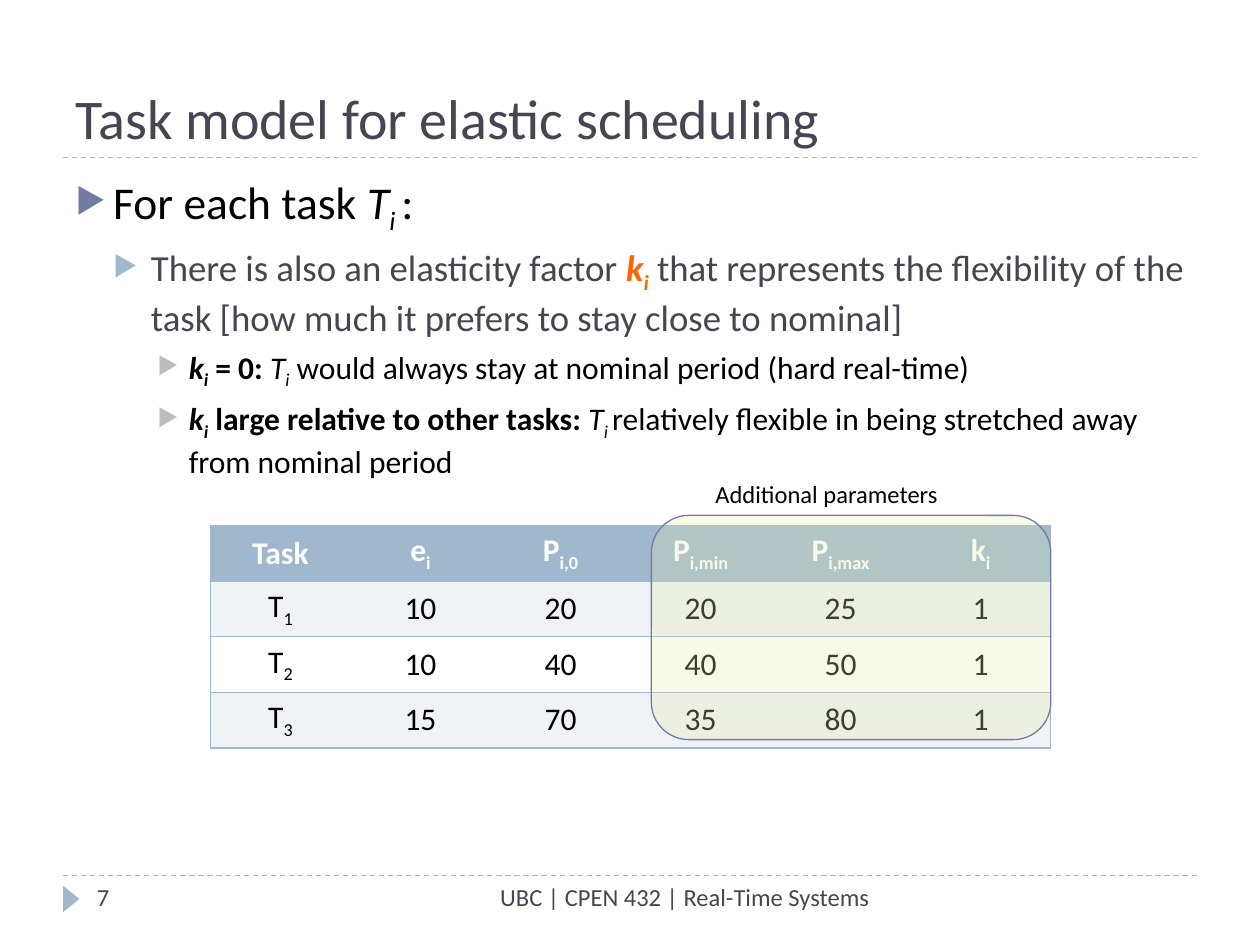
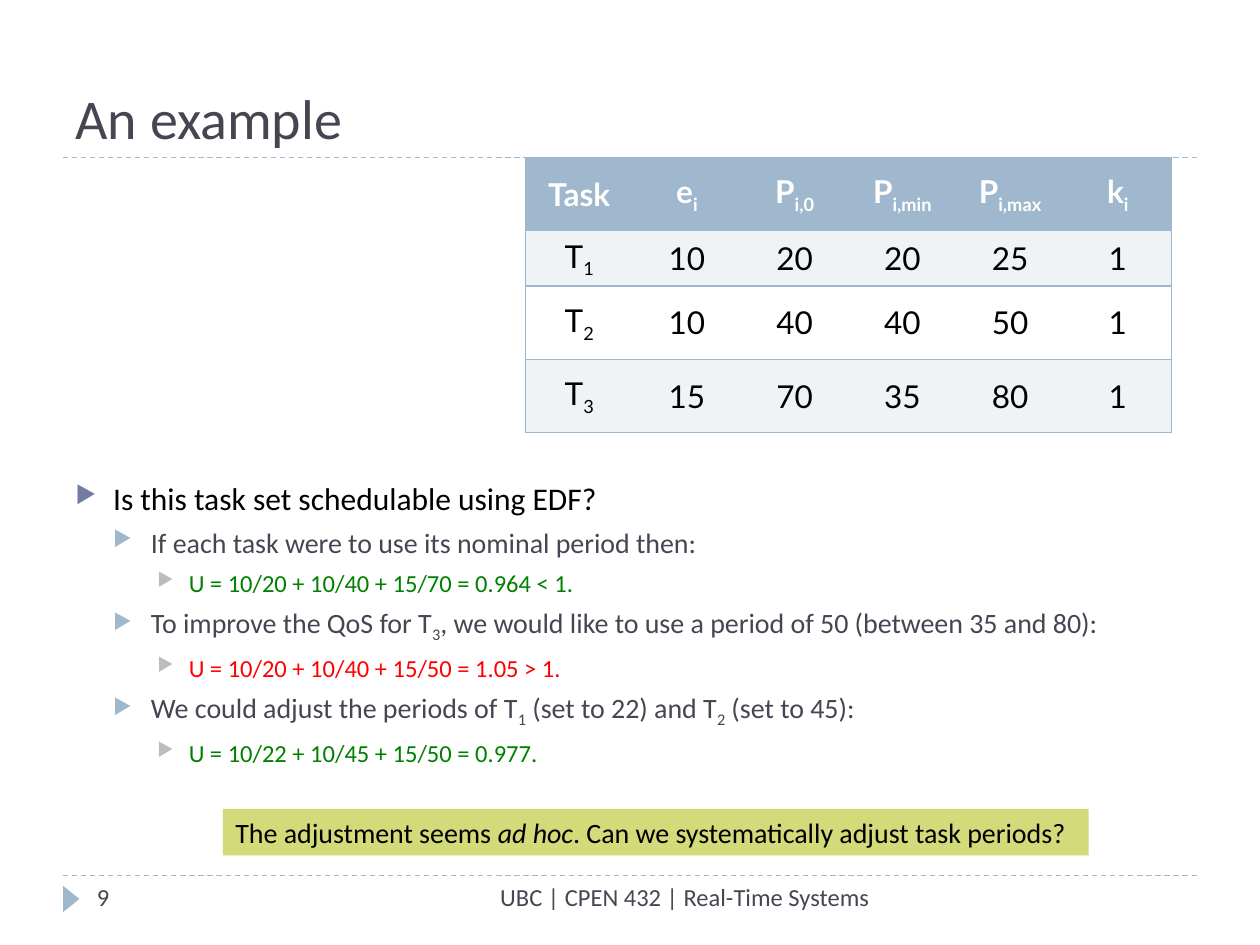
"""Build two slides on elastic scheduling of real-time tasks."""
from dataclasses import dataclass
from typing import NamedTuple

from lxml import etree
from pptx import Presentation
from pptx.dml.color import RGBColor
from pptx.enum.dml import MSO_LINE
from pptx.enum.shapes import MSO_CONNECTOR, MSO_SHAPE
from pptx.enum.text import MSO_ANCHOR, MSO_AUTO_SIZE, PP_ALIGN
from pptx.oxml.ns import qn
from pptx.util import Emu, Pt

SCALE = 9144
BLACK = RGBColor(0x00, 0x00, 0x00)
WHITE = RGBColor(0xFF, 0xFF, 0xFF)
SLATE = RGBColor(0x46, 0x46, 0x53)
INDIGO = RGBColor(0x72, 0x7C, 0xA3)
SKY = RGBColor(0x9F, 0xB8, 0xCD)
GRAY = RGBColor(0xBC, 0xBC, 0xBC)
MIST = RGBColor(0xF0, 0xF3, 0xF6)
LIME = RGBColor(0xD2, 0xDA, 0x7A)
CREAM = RGBColor(0xE4, 0xE9, 0xAF)
ORANGE = RGBColor(0xFF, 0x66, 0x00)
GREEN = RGBColor(0x00, 0x80, 0x00)
RED = RGBColor(0xFF, 0x00, 0x00)

DASH = MSO_LINE.DASH
STRAIGHT = MSO_CONNECTOR.STRAIGHT
RECT = MSO_SHAPE.RECTANGLE
ROUND = MSO_SHAPE.ROUNDED_RECTANGLE
WEDGE = MSO_SHAPE.ISOSCELES_TRIANGLE
BOTTOM = MSO_ANCHOR.BOTTOM
MIDDLE = MSO_ANCHOR.MIDDLE
NO_FIT = MSO_AUTO_SIZE.NONE
LEFT = PP_ALIGN.LEFT
CENTER = PP_ALIGN.CENTER
RIGHT = PP_ALIGN.RIGHT

FONT = "Calibri"
FOOTER = "UBC | CPEN 432 | Real-Time Systems"
TASKS = (
    ("Task", "e_i", "P_i,0", "P_i,min", "P_i,max", "k_i"),
    ("T_1", "10", "20", "20", "25", "1"),
    ("T_2", "10", "40", "40", "50", "1"),
    ("T_3", "15", "70", "35", "80", "1"),
)


class Box(NamedTuple):
    """Place and size in px."""
    left: int
    top: int
    wide: int
    high: int

    def emu(self) -> list[Emu]:
        """Return the four lengths in EMU."""
        return [px(side) for side in self]


class Run(NamedTuple):
    """Text with flags: b bold, i italic, s subscript."""
    text: str
    flags: str = ""
    color: RGBColor | None = None


class Level(NamedTuple):
    """Bullet look of one outline level."""
    margin: int
    hang: int
    space: int
    bullet: RGBColor
    color: RGBColor


@dataclass
class Item:
    """One outline line."""
    level: int
    size: int
    runs: list[Run]
    color: RGBColor | None = None


LEVELS = (
    Level(30, 30, 6, INDIGO, BLACK),
    Level(60, 30, 5, SKY, SLATE),
    Level(90, 25, 5, GRAY, BLACK),
)


def px(count: int) -> Emu:
    """Turn px into EMU."""
    return Emu(count * SCALE)


def term(text: str) -> list[Run]:
    """Split a symbol at its underscore into base and subscript."""
    base, _, sub = text.partition("_")
    return [Run(base)] + ([Run(sub, "s")] if sub else [])


def write(para, runs: list[Run], size: int, color: RGBColor, font: str = FONT, bold: bool = False) -> None:
    """Add styled runs to a paragraph."""
    for part in runs:
        run = para.add_run()
        run.text = part.text
        run.font.name = font
        run.font.size = Pt(size)
        run.font.bold = bold or "b" in part.flags
        run.font.italic = "i" in part.flags
        run.font.color.rgb = part.color or color
        if "s" in part.flags:
            run.font._element.set("baseline", "-25000")


def add_text(slide, box: Box, text: str, color: RGBColor, align=LEFT) -> None:
    """Add a small text box."""
    frame = slide.shapes.add_textbox(*box.emu()).text_frame
    frame.word_wrap = True
    frame.paragraphs[0].alignment = align
    write(frame.paragraphs[0], [Run(text)], 14, color)


def add_shape(slide, kind, box: Box, fill: RGBColor):
    """Add a flat filled shape without outline."""
    shape = slide.shapes.add_shape(kind, *box.emu())
    shape.shadow.inherit = False
    shape.fill.solid()
    shape.fill.fore_color.rgb = fill
    shape.line.fill.background()
    return shape


def add_rule(slide, top: int) -> None:
    """Add a dashed rule across the slide."""
    rule = slide.shapes.add_connector(STRAIGHT, px(50), px(top), px(950), px(top))
    rule.line.color.rgb = SKY
    rule.line.width = Pt(0.75)
    rule.line.dash_style = DASH
    etree.SubElement(rule._element.spPr, qn("a:effectLst"))


def add_slide(deck, title: str, number: int):
    """Add a slide with title, rules and footer."""
    slide = deck.slides.add_slide(deck.slide_layouts[5])
    for top in (695, 125):
        add_rule(slide, top)
    add_shape(slide, WEDGE, Box(46, 707, 21, 13), SKY).rotation = 90
    head = slide.shapes.title
    head.left, head.top, head.width, head.height = Box(50, 17, 900, 108).emu()
    frame = head.text_frame
    frame.text = title
    frame.auto_size = NO_FIT
    frame.vertical_anchor = BOTTOM
    para = frame.paragraphs[0]
    para.alignment = LEFT
    font = para.runs[0].font
    font.name, font.size = FONT, Pt(32)
    font.color.rgb = SLATE
    add_text(slide, Box(317, 695, 383, 40), FOOTER, SLATE, RIGHT)
    add_text(slide, Box(67, 695, 217, 40), str(number), SLATE)
    return slide


def set_bullet(para, level: Level) -> None:
    """Give a paragraph its indent and arrow bullet."""
    props = para._p.get_or_add_pPr()
    props.set("marL", str(px(level.margin)))
    props.set("indent", str(-px(level.hang)))
    tint = etree.SubElement(props, qn("a:buClr"))
    etree.SubElement(tint, qn("a:srgbClr"), val=str(level.bullet))
    etree.SubElement(props, qn("a:buSzPct"), val="76000")
    etree.SubElement(props, qn("a:buChar"), char="▶")


def add_list(slide, box: Box, items: list[Item]) -> None:
    """Add the bulleted outline."""
    frame = slide.shapes.add_textbox(*box.emu()).text_frame
    frame.word_wrap = True
    for index, item in enumerate(items):
        para = frame.add_paragraph() if index else frame.paragraphs[0]
        level = LEVELS[item.level]
        para.level = item.level
        set_bullet(para, level)
        if index:
            para.space_before = Pt(level.space)
        write(para, item.runs, item.size, item.color or level.color)


def set_edges(cell, first: bool, last: bool) -> None:
    """Rule a cell above and below, and at the table's outer sides."""
    props = cell._tc.get_or_add_tcPr()
    for side, shown in (("L", first), ("R", last), ("T", True), ("B", True)):
        edge = etree.SubElement(props, qn(f"a:ln{side}"), w=str(Pt(1)))
        if shown:
            fill = etree.SubElement(edge, qn("a:solidFill"))
            etree.SubElement(fill, qn("a:srgbClr"), val=str(SKY))
        else:
            etree.SubElement(edge, qn("a:noFill"))


def add_tasks(slide, box: Box, highs: list[int], font: str) -> None:
    """Add the task table."""
    count = len(TASKS[0])
    table = slide.shapes.add_table(len(TASKS), count, *box.emu()).table
    for r, (row, high) in enumerate(zip(TASKS, highs)):
        table.rows[r].height = px(high)
        for c, text in enumerate(row):
            cell = table.cell(r, c)
            set_edges(cell, c == 0, c == count - 1)
            cell.fill.solid()
            cell.fill.fore_color.rgb = SKY if r == 0 else MIST if r % 2 else WHITE
            cell.vertical_anchor = MIDDLE
            para = cell.text_frame.paragraphs[0]
            para.alignment = CENTER
            write(para, term(text), 18, BLACK if r else WHITE, font, r == 0)


def add_model(deck) -> None:
    """Build the task model slide."""
    slide = add_slide(deck, "Task model for elastic scheduling", 7)
    add_list(slide, Box(50, 133, 900, 540), [
        Item(0, 26, [Run("For each task "), Run("T", "i"), Run("i ", "is"), Run(":")]),
        Item(1, 21, [
            Run("There is also an elasticity factor "),
            Run("k", "bi", ORANGE), Run("i", "bis", ORANGE),
            Run(" that represents the flexibility of the task "
                "[how much it prefers to stay close to nominal]"),
        ]),
        Item(2, 18, [
            Run("k", "bi"), Run("i", "bis"), Run(" = 0: ", "b"),
            Run("T", "i"), Run("i", "is"),
            Run(" would always stay at nominal period (hard real-time)"),
        ]),
        Item(2, 18, [
            Run("k", "bi"), Run("i", "bis"),
            Run(" large relative to other tasks: ", "b"),
            Run("T", "i"), Run("i ", "is"),
            Run("relatively flexible in being stretched away from nominal period"),
        ]),
    ])
    add_tasks(slide, Box(167, 417, 667, 164), [41] * 4, FONT)
    veil = add_shape(slide, ROUND, Box(517, 409, 317, 178), CREAM)
    veil.line.color.rgb = INDIGO
    veil.line.width = Pt(0.75)
    tint = veil._element.spPr.find(qn("a:solidFill"))[0]
    etree.SubElement(tint, qn("a:alpha"), val="27000")
    add_text(slide, Box(558, 375, 210, 23), "Additional parameters", BLACK)


def add_sample(deck) -> None:
    """Build the example slide."""
    slide = add_slide(deck, "An example", 9)
    add_list(slide, Box(50, 375, 900, 267), [
        Item(0, 18, [Run("Is this task set schedulable using EDF?")]),
        Item(1, 16, [Run("If each task were to use its nominal period then:")]),
        Item(2, 14, [Run("U = 10/20 + 10/40 + 15/70 = 0.964 < 1.")], GREEN),
        Item(1, 16, [
            *term("To improve the QoS for T_3"),
            Run(", we would like to use a period of 50 (between 35 and 80):"),
        ]),
        Item(2, 14, [Run("U = 10/20 + 10/40 + 15/50 = 1.05 > 1.")], RED),
        Item(1, 16, [
            *term("We could adjust the periods of T_1"),
            *term(" (set to 22) and T_2"), Run(" (set to 45):"),
        ]),
        Item(2, 14, [Run("U = 10/22 + 10/45 + 15/50 = 0.977.")], GREEN),
    ])
    add_tasks(slide, Box(417, 125, 513, 207), [58, 33, 58, 58], "Lato")
    note = add_shape(slide, RECT, Box(177, 642, 687, 37), LIME)
    para = note.text_frame.paragraphs[0]
    para.alignment = LEFT
    write(para, [
        Run("The adjustment seems "), Run("ad hoc", "i"),
        Run(". Can we systematically adjust task periods?"),
    ], 16, BLACK)


def main() -> None:
    """Build and save the deck."""
    deck = Presentation()
    deck.slide_width, deck.slide_height = px(1000), px(750)
    add_model(deck)
    add_sample(deck)
    deck.save("out.pptx")


if __name__ == "__main__":
    main()
